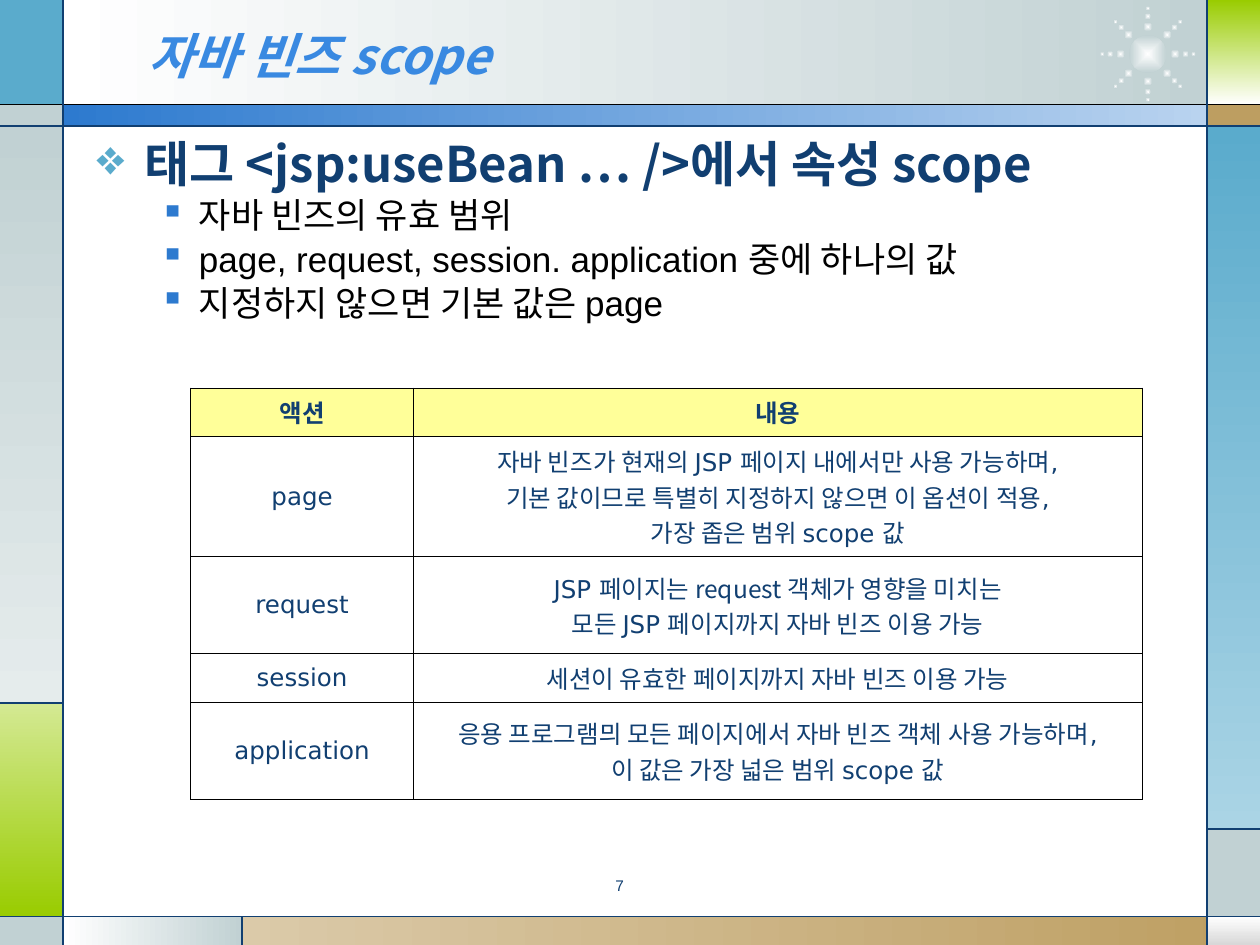
from dataclasses import dataclass
from itertools import product
from math import cos, radians, sin

from lxml import etree
from pptx import Presentation
from pptx import util as u
from pptx.dml.color import RGBColor
from pptx.enum import shapes, text
from pptx.oxml import parse_xml
from pptx.oxml.ns import nsdecls, qn

KOR, SANS, DEJA = "Noto Sans CJK KR", "Arial", "DejaVu Sans"
NAVY, BLUE, TEAL, GRAY = "113F71", "2D7ACF", "5AABCC", "C1D1D3"
WHITE, LIME, TAN = "FFFFFF", "99CC00", "BD9E61"

# Edges of the frame, in cm
WIDE, HIGH = 25.4, 19.05
LEFT, RIGHT = 1.27, 24.33
HEAD, BAR, FOOT = 2.11, 2.54, 18.47
GREEN, STEP, SAND = 14.17, 16.71, 4.88


@dataclass
class Tile:
    left: float
    top: float
    right: float
    low: float
    tint: str
    fade: str = ""
    down: bool = False


@dataclass
class Rule:
    x1: float
    y1: float
    x2: float
    y2: float
    tint: str = NAVY


@dataclass
class Point:
    text: str
    size: float
    font: str
    tint: str
    mark: str
    dye: str
    margin: float
    hang: float
    before: float = 0
    bold: bool = False


TILES = [
    Tile(LEFT, 0, RIGHT, HEAD, WHITE, GRAY),
    Tile(0, 0, LEFT, HEAD, TEAL),
    Tile(0, HEAD, LEFT, BAR, GRAY),
    Tile(0, BAR, LEFT, GREEN, GRAY, "E5ECEC", True),
    Tile(0, GREEN, LEFT, FOOT, "D4E993", LIME, True),
    Tile(0, FOOT, LEFT, HIGH, GRAY),
    Tile(LEFT, FOOT, SAND, HIGH, WHITE, GRAY),
    Tile(SAND, FOOT, WIDE, HIGH, "DBCAA9", TAN),
    Tile(RIGHT, FOOT, WIDE, HIGH, WHITE, "D8D8D8", True),
    Tile(RIGHT, STEP, WIDE, FOOT, GRAY),
    Tile(RIGHT, BAR, WIDE, STEP, TEAL, "AAD4E5", True),
    Tile(RIGHT, HEAD, WIDE, BAR, TAN),
    Tile(RIGHT, 0, WIDE, HEAD, LIME, WHITE, True),
    Tile(LEFT, HEAD, RIGHT, BAR, BLUE, "B9D3EF"),
]
RULES = [
    Rule(0, HEAD, WIDE, HEAD, "000000"),
    Rule(0, BAR, WIDE, BAR),
    Rule(0, FOOT, WIDE, FOOT),
    Rule(LEFT, 0, LEFT, HIGH),
    Rule(RIGHT, 0, RIGHT, HIGH),
    Rule(0, GREEN, LEFT, GREEN),
    Rule(SAND, FOOT, SAND, HIGH),
    Rule(RIGHT, STEP, WIDE, STEP),
]
SUB = (20, SANS, "000000", "▪", BLUE, 2.06, 0.79, 5)
POINTS = [
    Point("태그 <jsp:useBean … />에서 속성 scope", 28, KOR, NAVY, "❖", TEAL, 0.97, 0.97, bold=True),
    Point("자바 빈즈의 유효 범위", *SUB),
    Point("page, request, session. application 중에 하나의 값", *SUB),
    Point("지정하지 않으면 기본 값은 page", *SUB),
]
# Each row: height in cm, action, lines; text between bars is in the Korean font
ROWS = [
    (0.98, "액션", ["내용"]),
    (2.42, "page", ["자바 빈즈가 현재의 JSP 페이지 내에서만 사용 가능하며,",
                    "기본 값이므로 특별히 지정하지 않으면 이 옵션이 적용,",
                    "가장 좁은 범위 scope 값"]),
    (1.96, "request", ["JSP 페이지는 |request |객체가 영향을 미치는",
                       "모든 JSP 페이지까지 자바 빈즈 이용 가능"]),
    (0.98, "session", ["세션이 유효한 페이지까지 자바 빈즈 이용 가능"]),
    (1.96, "application", ["응용 프로그램믜 모든 페이지에서 자바 빈즈 객체 사용 가능하며,",
                           "이 값은 가장 넓은 범위 scope 값"]),
]


def rgb(code: str) -> RGBColor:
    return RGBColor.from_string(code)


def style(font, name: str, size: float, tint: str, bold=False, slant=False) -> None:
    font.name, font.size, font.bold, font.italic = name, u.Pt(size), bold, slant
    font.color.rgb = rgb(tint)
    etree.SubElement(font._rPr, qn("a:ea")).set("typeface", KOR)


def blend(fill, first: str, last: str, angle: float) -> None:
    fill.gradient()
    fill.gradient_angle = angle
    for stop, tint in zip(fill.gradient_stops, (first, last)):
        stop.color.rgb = rgb(tint)


def block(slide, kind, left: float, top: float, width: float, height: float):
    shape = slide.shapes.add_shape(kind, u.Cm(left), u.Cm(top), u.Cm(width), u.Cm(height))
    shape.shadow.inherit = False
    shape.line.fill.background()
    return shape


def draw_tile(slide, tile: Tile) -> None:
    shape = block(slide, shapes.MSO_SHAPE.RECTANGLE, tile.left, tile.top,
                  tile.right - tile.left, tile.low - tile.top)
    if tile.fade:
        blend(shape.fill, tile.tint, tile.fade, 270 if tile.down else 0)
    else:
        shape.fill.solid()
        shape.fill.fore_color.rgb = rgb(tile.tint)


def draw_dot(slide, x: float, y: float, size: float) -> None:
    """Draw a round glow centred on x, y."""
    dot = block(slide, shapes.MSO_SHAPE.OVAL, x - size / 2, y - size / 2, size, size)
    blend(dot.fill, WHITE, GRAY, 0)
    lin = dot._element.spPr.find(".//" + qn("a:lin"))
    lin.getparent().replace(lin, parse_xml(
        f'<a:path {nsdecls("a")} path="rect">'
        '<a:fillToRect l="50000" t="50000" r="50000" b="50000"/></a:path>'))


def draw_star(slide, x: float, y: float) -> None:
    draw_dot(slide, x, y, 0.76)
    rings = [(0.55, 0.18), (0.76, 0.13), (0.92, 0.09)]
    for turn, (reach, size) in product(range(0, 360, 45), rings):
        way = radians(turn)
        draw_dot(slide, x + reach * cos(way), y + reach * sin(way), size)


def draw_rule(slide, rule: Rule) -> None:
    line = slide.shapes.add_connector(
        shapes.MSO_CONNECTOR.STRAIGHT, u.Cm(rule.x1), u.Cm(rule.y1), u.Cm(rule.x2), u.Cm(rule.y2))
    line.line.color.rgb = rgb(rule.tint)
    line.line.width = u.Pt(0.75)
    etree.SubElement(line._element.spPr, qn("a:effectLst"))


def add_box(slide, left: float, top: float, width: float, height: float):
    frame = slide.shapes.add_textbox(u.Cm(left), u.Cm(top), u.Cm(width), u.Cm(height)).text_frame
    frame.word_wrap = True
    return frame


def add_point(para, point: Point) -> None:
    para.text = point.text
    props = para._p.get_or_add_pPr()
    props.set("marL", str(u.Cm(point.margin)))
    props.set("indent", str(-u.Cm(point.hang)))
    para.line_spacing = 0.83
    para.space_before = u.Pt(point.before)
    dye = etree.SubElement(props, qn("a:buClr"))
    etree.SubElement(dye, qn("a:srgbClr")).set("val", point.dye)
    etree.SubElement(props, qn("a:buChar")).set("char", point.mark)
    style(para.font, point.font, point.size, point.tint, point.bold)


def fill_cell(cell, lines: list[str], head: bool) -> None:
    cell.vertical_anchor = text.MSO_ANCHOR.MIDDLE
    cell.margin_left = cell.margin_right = u.Cm(0.18)
    cell.margin_top = cell.margin_bottom = u.Cm(0.13)
    for side in ("lnL", "lnR", "lnT", "lnB"):
        cell._tc.get_or_add_tcPr().append(parse_xml(
            f'<a:{side} {nsdecls("a")} w="{u.Pt(0.45)}"><a:solidFill>'
            f'<a:srgbClr val="000000"/></a:solidFill></a:{side}>'))
    if head:
        cell.fill.solid()
        cell.fill.fore_color.rgb = rgb("FFFF99")
    else:
        cell.fill.background()
    frame = cell.text_frame
    for i, line in enumerate(lines):
        para = frame.add_paragraph() if i else frame.paragraphs[0]
        para.alignment = text.PP_ALIGN.CENTER
        style(para.font, DEJA, 14, NAVY, head)
        for j, part in enumerate(line.split("|")):
            run = para.add_run()
            run.text = part
            if j % 2:
                run.font.name = KOR


def add_grid(slide) -> None:
    cols = (4.5, 14.68)
    high = sum(row[0] for row in ROWS)
    grid = slide.shapes.add_table(len(ROWS), len(cols), u.Cm(3.84), u.Cm(7.82),
                                  u.Cm(sum(cols)), u.Cm(high)).table
    for col, width in zip(grid.columns, cols):
        col.width = u.Cm(width)
    for i, (height, name, lines) in enumerate(ROWS):
        grid.rows[i].height = u.Cm(height)
        fill_cell(grid.cell(i, 0), [name], i == 0)
        fill_cell(grid.cell(i, 1), lines, i == 0)


def set_title(slide) -> None:
    title = slide.shapes.title
    title.left, title.top, title.width, title.height = map(u.Cm, (2.74, 0.33, 18.62, 1.57))
    frame = title.text_frame
    frame.text = "자바 빈즈 scope"
    frame.auto_size = text.MSO_AUTO_SIZE.NONE
    frame.vertical_anchor = text.MSO_ANCHOR.MIDDLE
    para = frame.paragraphs[0]
    para.alignment = text.PP_ALIGN.LEFT
    style(para.font, KOR, 28, "3989E1", True, True)
    slide.shapes._spTree.append(title._element)  # in front of the header band


def main() -> None:
    deck = Presentation()
    deck.slide_width, deck.slide_height = u.Cm(WIDE), u.Cm(HIGH)
    slide = deck.slides.add_slide(deck.slide_layouts[5])
    for tile in TILES:
        draw_tile(slide, tile)
    draw_star(slide, 23.14, 1.09)
    for rule in RULES:
        draw_rule(slide, rule)
    set_title(slide)
    body = add_box(slide, 1.7, 2.77, 22.28, 14.3)
    for i, point in enumerate(POINTS):
        add_point(body.add_paragraph() if i else body.paragraphs[0], point)
    para = add_box(slide, 9.53, 17.6, 5.92, 0.69).paragraphs[0]
    para.text, para.alignment, para.line_spacing = "7", text.PP_ALIGN.CENTER, 0.8
    style(para.font, SANS, 8.8, NAVY)
    add_grid(slide)
    deck.save("out.pptx")


if __name__ == "__main__":
    main()
